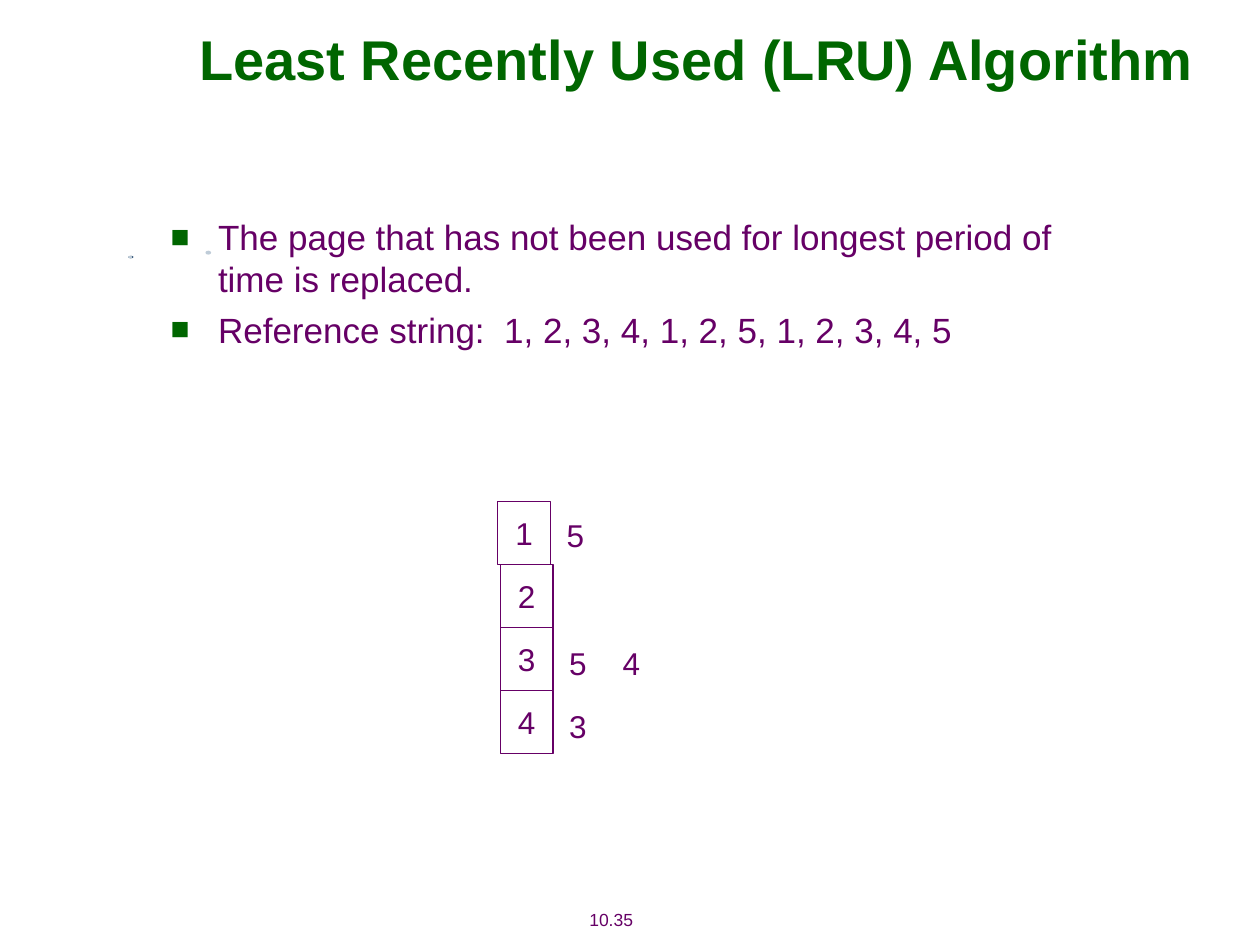
from dataclasses import dataclass

from lxml.etree import SubElement
from pptx import Presentation
from pptx.dml.color import RGBColor
from pptx.enum.shapes import MSO_SHAPE as Kind
from pptx.enum.text import MSO_ANCHOR as Anchor, PP_ALIGN as Align
from pptx.oxml.ns import qn
from pptx.util import Pt

GREEN = RGBColor(0x00, 0x66, 0x00)
PURPLE = RGBColor(0x66, 0x00, 0x66)
WHITE = RGBColor(0xFF, 0xFF, 0xFF)
NAVY = RGBColor(0x28, 0x4C, 0x70)
GREY = RGBColor(0xBF, 0xCC, 0xD8)

FRAME_W, FRAME_H = 30, 36
FRAME_TOP = 286.5


@dataclass
class Frame:
    text: str
    left: float


@dataclass
class Label:
    text: str
    left: float
    top: float
    width: float = 24.5
    height: float = 29
    size: float = 18


@dataclass
class Dot:
    left: float
    top: float
    width: float
    height: float
    color: RGBColor


FRAMES = [Frame("1", 284.5), Frame("2", 286), Frame("3", 286), Frame("4", 286)]
LABELS = [
    Label("5", 316.5, 291),
    Label("5", 318, 364.5),
    Label("4", 348.5, 364.5),
    Label("3", 318, 400.5),
    Label("10.35", 312.5, 515.5, 73.5, 19.5, 10),
]
DOTS = [
    Dot(73.4, 146.2, 2.9, 1.4, NAVY),
    Dot(73.4, 146.2, 2.2, 1.4, GREY),
    Dot(117.4, 143.3, 3.2, 2.2, GREY),
]
POINTS = [
    "The page that has not been used for longest period of time is replaced.",
    "Reference string:  1, 2, 3, 4, 1, 2, 5, 1, 2, 3, 4, 5",
]


def style(para, size: float, color: RGBColor, bold: bool = False) -> None:
    for run in para.runs:
        font = run.font
        font.name, font.size, font.bold = "Arial", Pt(size), bold
        font.color.rgb = color


def center(shape, text: str, size: float, color: RGBColor, bold: bool = False) -> None:
    body = shape.text_frame
    body.text = text
    body.vertical_anchor = Anchor.MIDDLE
    para = body.paragraphs[0]
    para.alignment = Align.CENTER
    style(para, size, color, bold)


def add_bullet(para) -> None:
    props = para._p.get_or_add_pPr()
    props.set("marL", str(Pt(27)))
    props.set("indent", str(Pt(-27)))
    color = SubElement(props, qn("a:buClr"))
    SubElement(color, qn("a:srgbClr"), val=str(GREEN))
    SubElement(props, qn("a:buSzPct"), val="90000")
    SubElement(props, qn("a:buFont"), typeface="Arial")
    SubElement(props, qn("a:buChar"), char="■")


def draw_dot(slide, dot: Dot) -> None:
    shape = slide.shapes.add_shape(
        Kind.OVAL, Pt(dot.left), Pt(dot.top), Pt(dot.width), Pt(dot.height))
    shape.shadow.inherit = False
    shape.fill.solid()
    shape.fill.fore_color.rgb = dot.color
    shape.line.fill.background()


def draw_frame(slide, frame: Frame, row: int) -> None:
    shape = slide.shapes.add_shape(
        Kind.RECTANGLE, Pt(frame.left), Pt(FRAME_TOP + row * FRAME_H),
        Pt(FRAME_W), Pt(FRAME_H))
    shape.shadow.inherit = False
    shape.fill.solid()
    shape.fill.fore_color.rgb = WHITE
    shape.line.color.rgb = PURPLE
    shape.line.width = Pt(0.75)
    shape.text_frame.word_wrap = False
    center(shape, frame.text, 18, PURPLE)


def draw_label(slide, label: Label) -> None:
    box = slide.shapes.add_textbox(
        Pt(label.left), Pt(label.top), Pt(label.width), Pt(label.height))
    box.text_frame.word_wrap = False
    center(box, label.text, label.size, PURPLE)


def draw_points(slide) -> None:
    box = slide.shapes.add_textbox(Pt(90.5), Pt(119.5), Pt(553.5), Pt(365))
    body = box.text_frame
    body.word_wrap = True
    body.text = "\n".join(POINTS)
    for para in body.paragraphs:
        para.space_before = Pt(5)
        add_bullet(para)
        style(para, 20, PURPLE)


def main() -> None:
    deck = Presentation()
    deck.slide_width, deck.slide_height = Pt(720), Pt(540)
    slide = deck.slides.add_slide(deck.slide_layouts[5])

    # Title
    title = slide.shapes.title
    title.left, title.top, title.width, title.height = Pt(92), Pt(0), Pt(612), Pt(66)
    center(title, "Least Recently Used (LRU) Algorithm", 32, GREEN, True)

    # Background specks and bullet points
    for dot in DOTS:
        draw_dot(slide, dot)
    draw_points(slide)

    # Page frames, their replacements and the page number
    for row, frame in enumerate(FRAMES):
        draw_frame(slide, frame, row)
    for label in LABELS:
        draw_label(slide, label)

    deck.save("out.pptx")


if __name__ == "__main__":
    main()
